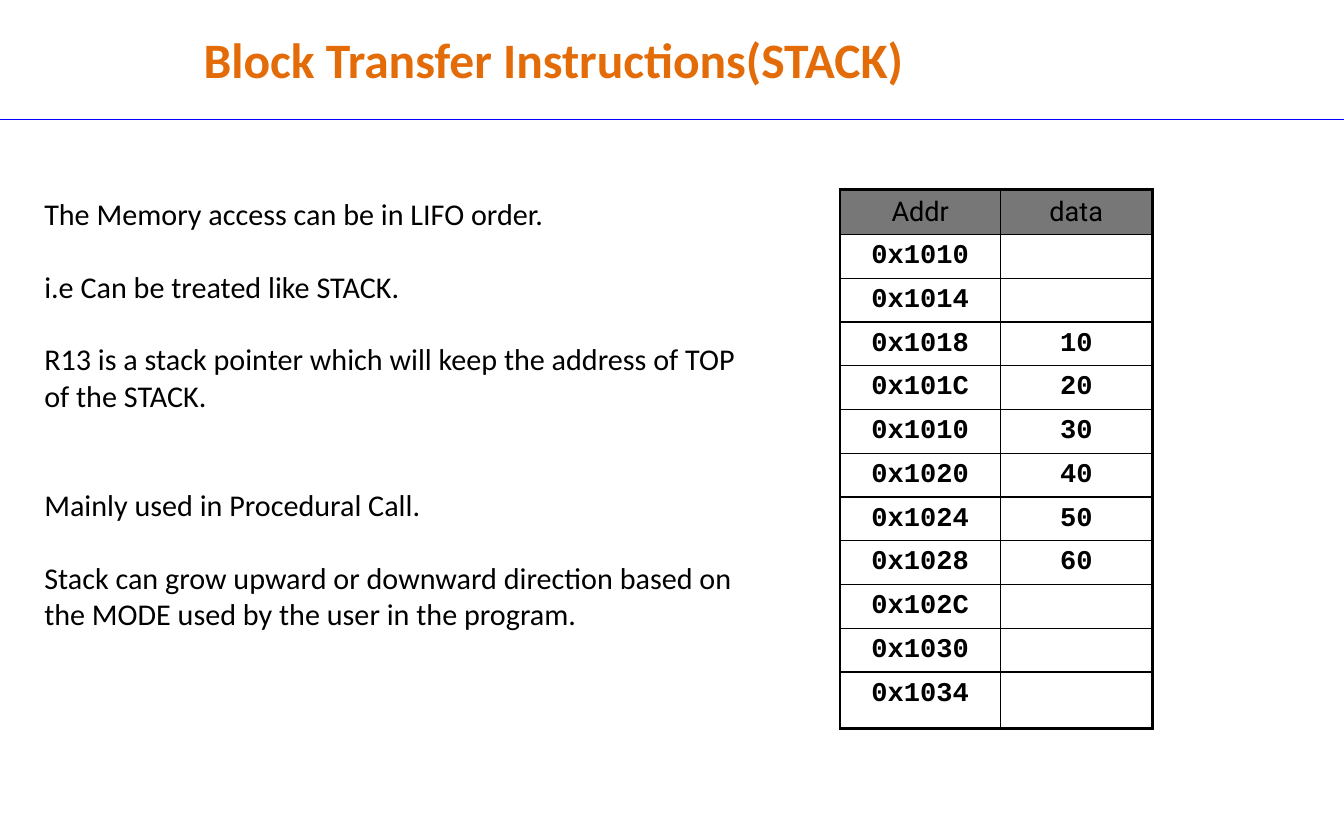
"""Build the slide on block transfer instructions and the stack."""
from lxml import etree
from pptx import Presentation
from pptx.dml.color import RGBColor
from pptx.enum.shapes import MSO_CONNECTOR
from pptx.enum.text import MSO_ANCHOR, PP_ALIGN
from pptx.oxml.ns import qn
from pptx.util import Inches, Pt

STRAIGHT = MSO_CONNECTOR.STRAIGHT
MIDDLE = MSO_ANCHOR.MIDDLE
CENTER = PP_ALIGN.CENTER
COLORS = {"title": "E36C09", "rule": "0000FF", "text": "000000", "header": "777777"}
BODY_SIZE, BODY_LINE, CELL_SIZE = 20, 24.4, 18
THIN, THICK = 1, 2.25


def add_run(p, text, size, font, color, bold=False):
    r = p.add_run()
    r.text = text
    r.font.size = Pt(size)
    r.font.name = font
    r.font.bold = bold
    r.font.color.rgb = RGBColor.from_string(COLORS[color])


def add_border(cell, side, width):
    ln = etree.SubElement(cell._tc.get_or_add_tcPr(), qn(f"a:ln{side}"), w=str(Pt(width)))
    fill = etree.SubElement(ln, qn("a:solidFill"))
    etree.SubElement(fill, qn("a:srgbClr"), val=COLORS["text"])


prs = Presentation()
prs.slide_width, prs.slide_height = Inches(12.4), Inches(7.5)
s = prs.slides.add_slide(prs.slide_layouts[6])

rows = [
    ("Addr", "data"),
    ("0x1010", ""),
    ("0x1014", ""),
    ("0x1018", "10"),
    ("0x101C", "20"),
    ("0x1010", "30"),
    ("0x1020", "40"),
    ("0x1024", "50"),
    ("0x1028", "60"),
    ("0x102C", ""),
    ("0x1030", ""),
    ("0x1034", ""),
]
last = len(rows) - 1
row_height, last_height = 0.4, 0.52
widths = (1.48, 1.4)
table = s.shapes.add_table(
    len(rows), len(widths), Inches(7.75), Inches(1.75),
    Inches(sum(widths)), Inches(row_height * last + last_height),
).table
table.first_row = table.horz_banding = False
for col, width in zip(table.columns, widths):
    col.width = Inches(width)

for i, row in enumerate(rows):
    table.rows[i].height = Inches(last_height if i == last else row_height)
    for j, text in enumerate(row):
        cell = table.cell(i, j)
        cell.margin_left = cell.margin_right = Inches(0.12)
        cell.margin_top = cell.margin_bottom = Inches(0.06)
        outer = {"L": j == 0, "R": j == 1, "T": i == 0, "B": i == last}
        for side, is_outer in outer.items():
            add_border(cell, side, THICK if is_outer else THIN)
        if i == 0:
            cell.fill.solid()
            cell.fill.fore_color.rgb = RGBColor.from_string(COLORS["header"])
        else:
            cell.fill.background()
        p = cell.text_frame.paragraphs[0]
        p.alignment = CENTER
        if text:
            font = "Roboto" if i == 0 else "Courier New"
            add_run(p, text, CELL_SIZE, font, "text", bold=i > 0)
        else:
            p._p.get_or_add_endParaRPr().set("sz", "1200")

body = [
    ("The Memory access can be in LIFO order.", 0),
    ("i.e Can be treated like STACK.", 1),
    ("R13 is a stack pointer which will keep the address of TOP of the STACK.", 1),
    ("Mainly used in Procedural Call.", 2),
    ("Stack can grow upward or downward direction based on the MODE used by the user "
     "in the program.", 1),
]
tf = s.shapes.add_textbox(Inches(0.31), Inches(1.75), Inches(6.61), Inches(4.14)).text_frame
tf.word_wrap = True
for i, (text, gap_lines) in enumerate(body):
    p = tf.add_paragraph() if i else tf.paragraphs[0]
    p.space_before = Pt(gap_lines * BODY_LINE)
    add_run(p, text, BODY_SIZE, "Calibri", "text")

rule = s.shapes.add_connector(STRAIGHT, 0, Inches(1.1), prs.slide_width, Inches(1.1))
rule.line.color.rgb = RGBColor.from_string(COLORS["rule"])
rule.line.width = Pt(0.75)
etree.SubElement(rule._element.spPr, qn("a:effectLst"))

tf = s.shapes.add_textbox(Inches(-0.98), Inches(0.21), Inches(11.35), Inches(0.67)).text_frame
tf.word_wrap = True
tf.vertical_anchor = MIDDLE
tf.margin_left = Inches(0.92)
p = tf.paragraphs[0]
p.alignment = CENTER
add_run(p, "Block Transfer Instructions(STACK)", 32.9, "Calibri", "title", bold=True)

prs.save("out.pptx")
